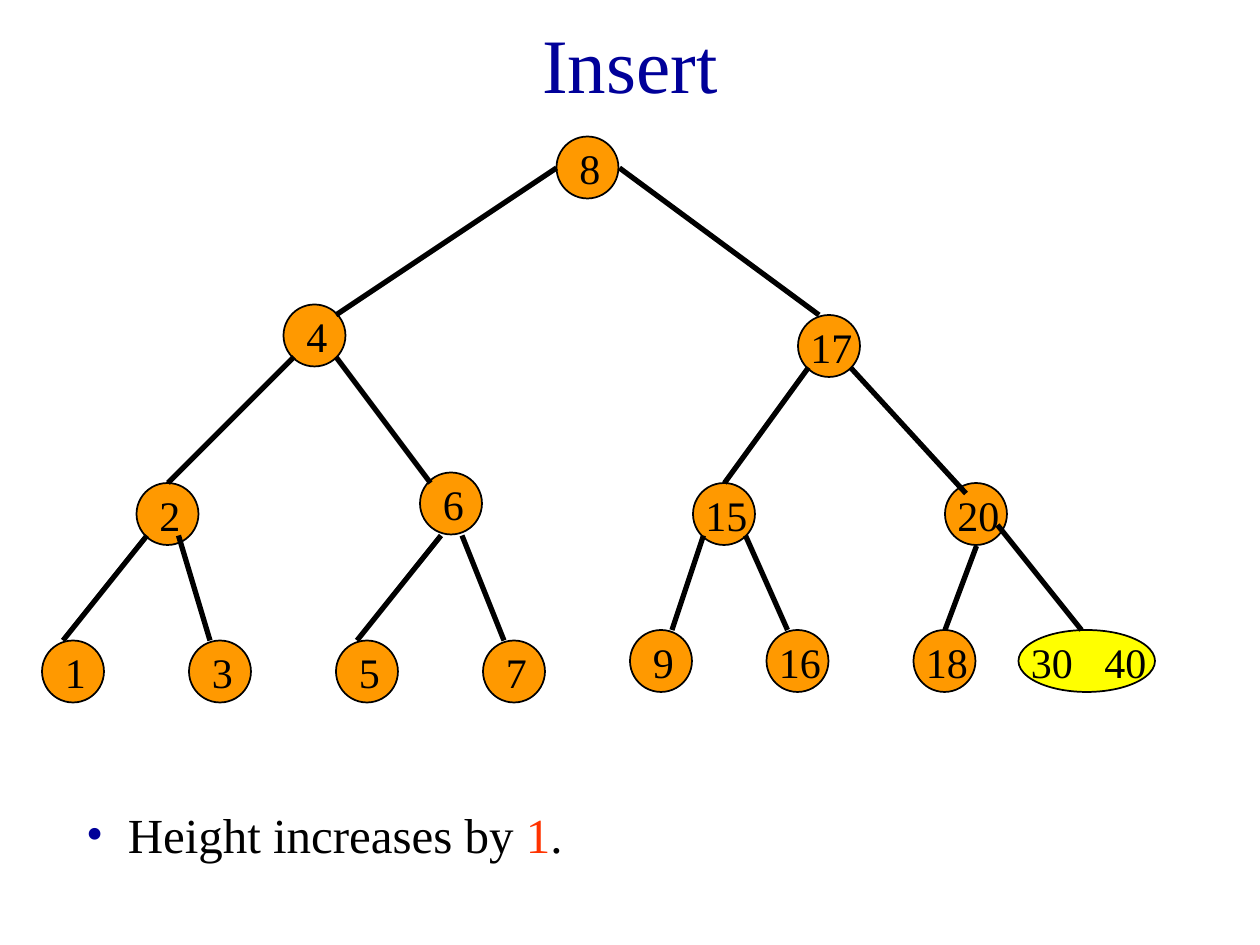
from lxml import etree
from pptx import Presentation, util as u
from pptx.dml.color import RGBColor
from pptx.enum import shapes, text
from pptx.oxml.ns import qn

GRID = 2.54 / 12  # centimetres in one grid step
FONT = "Times New Roman"
BLACK, NAVY, RED = "000000", "000099", "FF3300"
ORANGE, YELLOW = "FF9900", "FFFF00"
NODE_SIZE = 5.9

# Key, left and top of each tree node, in grid steps
NODES = [
    ("8", 53, 13),
    ("4", 27, 29), ("17", 76, 30),
    ("2", 13, 46), ("6", 40, 45), ("15", 66, 46), ("20", 90, 46),
    ("1", 4, 61), ("3", 18, 61), ("5", 32, 61), ("7", 46, 61),
    ("9", 60, 60), ("16", 73, 60), ("18", 87, 60),
]

# Start and end of each edge, in grid steps, parent by parent
EDGES = [
    (53, 16, 32, 30), (59, 16, 78, 30),
    (28, 34, 16, 46), (32, 34, 41, 46),
    (77, 35, 69, 46), (81, 35, 92, 47),
    (14, 51, 6, 61), (17, 51, 20, 61),
    (42, 51, 34, 61), (44, 51, 48, 61),
    (67, 51, 64, 60), (71, 51, 75, 60),
    (93, 52, 90, 60), (95, 50, 103, 60),
]


def steps(*values):
    """Turn grid steps into lengths."""
    return [u.Cm(value * GRID) for value in values]


def set_color(color_format, color):
    """Give a fill or font colour format a hex colour."""
    color_format.rgb = RGBColor.from_string(color)


def format_paragraph(paragraph, size, color=BLACK):
    """Set the font of a whole paragraph."""
    paragraph.font.name = FONT
    paragraph.font.size = u.Pt(size)
    set_color(paragraph.font.color, color)


def place(shape, left, top, width, height):
    """Move and size a shape on the grid."""
    shape.left, shape.top, shape.width, shape.height = steps(left, top, width, height)


def add_ellipse(slide, left, top, width, color):
    """Draw the outline of a tree node."""
    ellipse = slide.shapes.add_shape(
        shapes.MSO_SHAPE.OVAL, *steps(left, top, width, NODE_SIZE))
    ellipse.shadow.inherit = False
    ellipse.fill.solid()
    set_color(ellipse.fill.fore_color, color)
    set_color(ellipse.line.color, BLACK)
    ellipse.line.width = u.Pt(1)


def add_label(slide, left, top, width, label):
    """Write the key of a node and return its paragraph."""
    box = slide.shapes.add_textbox(*steps(left, top, width, 6))
    box.text_frame.word_wrap = True
    paragraph = box.text_frame.paragraphs[0]
    paragraph.text = label
    paragraph.space_before = u.Pt(15)
    format_paragraph(paragraph, 24)
    return paragraph


def add_node(slide, key, left, top):
    """Draw a node with a single key."""
    add_ellipse(slide, left, top, NODE_SIZE, ORANGE)
    if len(key) == 1:
        add_label(slide, left + 1, top, 5, key)
    else:
        add_label(slide, left, top, 10, key)


def add_full_node(slide, first, second, left, top):
    """Draw the node that holds two keys, parted by a tab stop."""
    add_ellipse(slide, left, top, 13, YELLOW)
    paragraph = add_label(slide, left, top, 15, f"{first}\t{second}")
    properties = paragraph._p.get_or_add_pPr()
    tabs = etree.Element(qn("a:tabLst"))
    etree.SubElement(tabs, qn("a:tab"), pos=str(u.Cm(1.48)), algn="l")
    properties.find(qn("a:spcBef")).addnext(tabs)


def add_edge(slide, *ends):
    """Draw a line from a parent to a child."""
    edge = slide.shapes.add_connector(shapes.MSO_CONNECTOR.STRAIGHT, *steps(*ends))
    set_color(edge.line.color, BLACK)
    edge.line.width = u.Pt(3)
    etree.SubElement(edge._element.spPr, qn("a:effectLst"))


def add_title(slide, title):
    """Fill the title placeholder."""
    shape = slide.shapes.title
    place(shape, 9, 0, 102, 12)
    shape.text_frame.vertical_anchor = text.MSO_ANCHOR.MIDDLE
    paragraph = shape.text_frame.paragraphs[0]
    paragraph.text = title
    paragraph.alignment = text.PP_ALIGN.CENTER
    format_paragraph(paragraph, 44, NAVY)


def add_bullet(slide, runs):
    """Fill the body placeholder with one bullet of coloured runs."""
    body = slide.placeholders[1]
    place(body, 7, 76, 106, 6.84)
    body.text_frame.auto_size = text.MSO_AUTO_SIZE.NONE
    paragraph = body.text_frame.paragraphs[0]
    paragraph.space_before = u.Pt(17.5)
    format_paragraph(paragraph, 28)
    for words, color in runs:
        run = paragraph.add_run()
        run.text = words
        set_color(run.font.color, color)
    properties = paragraph._p.get_or_add_pPr()
    indent = u.Cm(0.84)
    properties.set("marL", str(indent))
    properties.set("indent", str(-indent))
    bullet_color = etree.Element(qn("a:buClr"))
    etree.SubElement(bullet_color, qn("a:srgbClr"), val=NAVY)
    bullet_font = etree.Element(qn("a:buFont"), typeface=FONT)
    bullet = etree.Element(qn("a:buChar"), char="•")
    spacing = properties.find(qn("a:spcBef"))
    for element in (bullet, bullet_font, bullet_color):
        spacing.addnext(element)


def main():
    """Build the slide and save it."""
    presentation = Presentation()
    presentation.slide_width, presentation.slide_height = u.Cm(25.4), u.Cm(19.05)
    slide = presentation.slides.add_slide(presentation.slide_layouts[1])
    add_title(slide, "Insert")
    add_bullet(slide, [("Height increases by ", BLACK), ("1", RED), (".", BLACK)])
    add_full_node(slide, "30", "40", 97, 60)
    for node in NODES:
        add_node(slide, *node)
    for edge in EDGES:
        add_edge(slide, *edge)
    presentation.save("out.pptx")


main()
